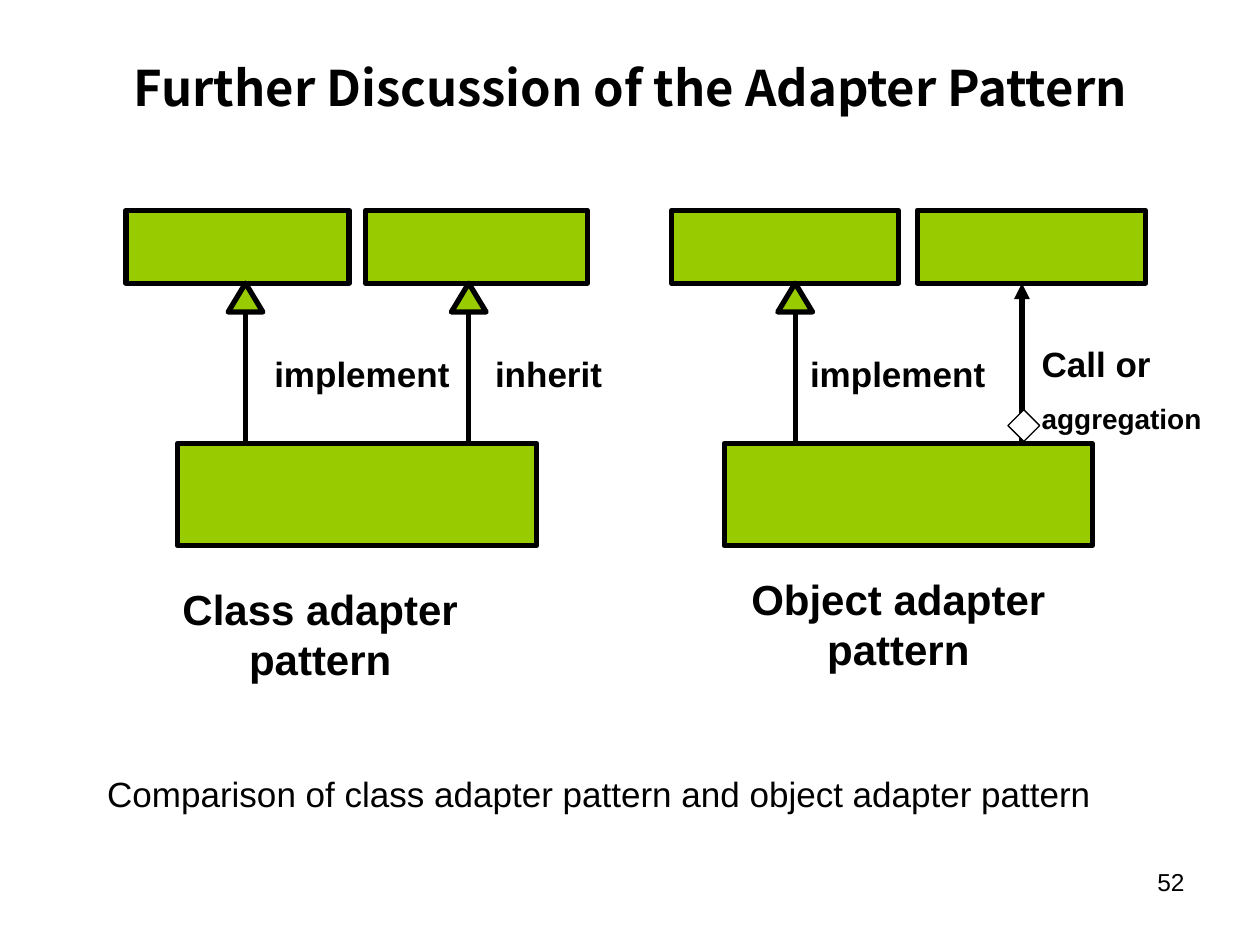
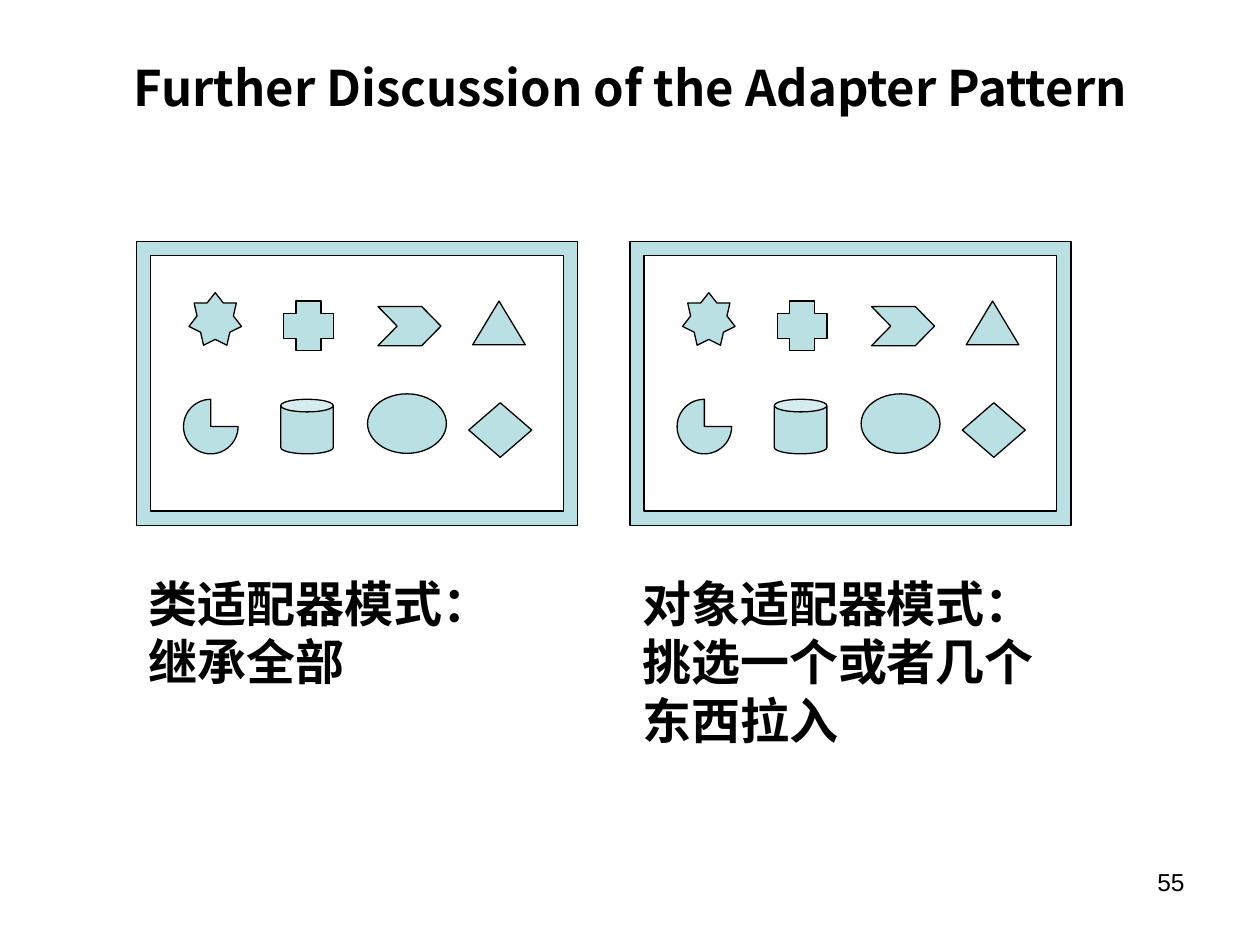
"""Build two slides that compare the class adapter and the object adapter."""
from lxml.etree import SubElement
from pptx import Presentation
from pptx.dml.color import RGBColor
from pptx.enum.shapes import MSO_CONNECTOR, MSO_SHAPE as Kind
from pptx.enum.text import MSO_ANCHOR as Anchor, PP_ALIGN as Align
from pptx.oxml.ns import qn
from pptx.util import Cm, Pt

COLORS = {"ink": "000000", "paper": "FFFFFF", "class": "99CC00", "part": "BBE0E3"}
LATIN, CJK = "Arial", "Noto Sans CJK SC"

TITLE = "Further Discussion of the Adapter Pattern"
TITLE_AREA = (1.27, 0.76, 22.86, 1.98)
NUMBER_AREA = (18.21, 17.35, 5.92, 1.32)

TOP_Y, TOP_H = 4.24, 1.47
BASE_Y, BASE_H = 8.94, 2.06
HEAD_W, HEAD_H = 0.7, 0.58
DIAGRAMS = [
    {"tops": [(2.54, 4.5), (7.37, 4.47)], "base": (3.58, 7.24),
     "links": [(4.95, True), (9.45, True)]},
    {"tops": [(13.54, 4.57), (18.49, 4.6)], "base": (14.6, 7.42),
     "links": [(16.03, True), (20.6, False)]},
]
CAPTIONS = [
    ("Class adapter pattern", (2.11, 11.63, 8.69, 2.29)),
    ("Object adapter pattern", (14.4, 11.43, 7.42, 2.29)),
]
LABELS = [
    ([("inherit", 20)], (9.73, 6.99, 2.97, 1.12)),
    ([("implement", 20)], (5.28, 6.99, 4.45, 1.12)),
    ([("implement", 20)], (16.08, 6.99, 4.24, 1.12)),
    ([("Call or", 20), ("aggregation", 16)], (20.75, 6.78, 3.81, 2.13)),
]
DIAMOND_AREA = (20.32, 8.26, 0.64, 0.64)
SUMMARY = "Comparison of class adapter pattern and object adapter pattern"
SUMMARY_AREA = (1.91, 15.44, 20.75, 1.12)

PANELS = [
    (2.75, 7.98, ["类适配器模式：", "继承全部"]),
    (12.7, 8.89, ["对象适配器模式：", "挑选一个或者几个", "东西拉入"]),
]
PANEL_Y, PANEL_TEXT_Y, LINE_H = 4.87, 11.43, 1.27
PARTS = [
    (Kind.FRAME, (0, 0, 8.89, 5.72), 0.05),
    (Kind.STAR_7_POINT, (1.06, 1.03, 1.06, 1.06), None),
    (Kind.CROSS, (2.97, 1.2, 1, 1), 0.25),
    (Kind.CHEVRON, (4.87, 1.31, 1.27, 0.79), 0.49),
    (Kind.ISOSCELES_TRIANGLE, (6.78, 1.2, 1.06, 0.88), None),
    (Kind.PIE, (0.95, 3.18, 1.1, 1.1), None),
    (Kind.CAN, (2.91, 3.18, 1.06, 1.1), 0.24),
    (Kind.OVAL, (4.66, 3.07, 1.59, 1.2), None),
    (Kind.DIAMOND, (6.7, 3.25, 1.27, 1.1), None),
]


def color(name):
    return RGBColor.from_string(COLORS[name])


def add_text(page, lines, area, font=LATIN, bold=True, align=Align.LEFT,
             anchor=Anchor.TOP, gap=0):
    box = page.shapes.add_textbox(*map(Cm, area))
    frame = box.text_frame
    frame.word_wrap, frame.vertical_anchor = True, anchor
    for index, (text, size) in enumerate(lines):
        para = frame.add_paragraph() if index else frame.paragraphs[0]
        para.alignment = align
        if index:
            para.space_before = Pt(gap)
        span = para.add_run()
        span.text = text
        for key, value in {"name": font, "size": Pt(size), "bold": bold}.items():
            setattr(span.font, key, value)
        span.font.color.rgb = color("ink")
        SubElement(span.font._element, qn("a:ea"), typeface=font)


def add_figure(page, kind, area, fill, width=0.75, adjust=None):
    shape = page.shapes.add_shape(kind, *map(Cm, area))
    shape.shadow.inherit = False
    shape.fill.solid()
    shape.fill.fore_color.rgb = color(fill)
    shape.line.color.rgb = color("ink")
    shape.line.width = Pt(width)
    if adjust is not None:
        shape.adjustments[0] = adjust


def add_arrow(page, x, start_y, end_y):
    arrow = page.shapes.add_connector(
        MSO_CONNECTOR.STRAIGHT, Cm(x), Cm(start_y), Cm(x), Cm(end_y))
    arrow.line.color.rgb = color("ink")
    arrow.line.width = Pt(3)
    SubElement(arrow.line._get_or_add_ln(), qn("a:tailEnd"), type="triangle")
    SubElement(arrow._element.spPr, qn("a:effectLst"))


def add_page(deck, number):
    page = deck.slides.add_slide(deck.slide_layouts[6])
    page.background.fill.solid()
    page.background.fill.fore_color.rgb = color("paper")
    add_text(page, [(number, 14)], NUMBER_AREA, bold=False, align=Align.RIGHT)
    add_text(page, [(TITLE, 28)], TITLE_AREA, CJK, align=Align.CENTER,
             anchor=Anchor.MIDDLE)
    return page


def draw_diagram(page, diagram):
    rows = [(x, TOP_Y, w, TOP_H) for x, w in diagram["tops"]]
    base_x, base_w = diagram["base"]
    for area in rows + [(base_x, BASE_Y, base_w, BASE_H)]:
        add_figure(page, Kind.RECTANGLE, area, "class", 3)
    top_edge = TOP_Y + TOP_H
    for x, hollow_head in diagram["links"]:
        add_arrow(page, x, BASE_Y, top_edge)
        if hollow_head:
            head = (x - HEAD_W / 2, top_edge, HEAD_W, HEAD_H)
            add_figure(page, Kind.ISOSCELES_TRIANGLE, head, "class", 3)


def build_structure(deck):
    page = add_page(deck, "52")
    for diagram in DIAGRAMS:
        draw_diagram(page, diagram)
    for text, area in CAPTIONS:
        add_text(page, [(text, 24)], area, align=Align.CENTER)
    add_text(page, [(SUMMARY, 20)], SUMMARY_AREA, bold=False)
    for lines, area in LABELS:
        add_text(page, lines, area, gap=10)
    add_figure(page, Kind.DIAMOND, DIAMOND_AREA, "paper")


def build_choice(deck):
    page = add_page(deck, "55")
    for left, text_w, lines in PANELS:
        for kind, (x, y, w, h), adjust in PARTS:
            add_figure(page, kind, (left + x, PANEL_Y + y, w, h), "part",
                       adjust=adjust)
        area = (left, PANEL_TEXT_Y, text_w, LINE_H * len(lines))
        add_text(page, [(line, 28) for line in lines], area, CJK)


def main():
    deck = Presentation()
    deck.slide_width, deck.slide_height = Cm(25.4), Cm(19.05)
    build_structure(deck)
    build_choice(deck)
    deck.save("out.pptx")


if __name__ == "__main__":
    main()
